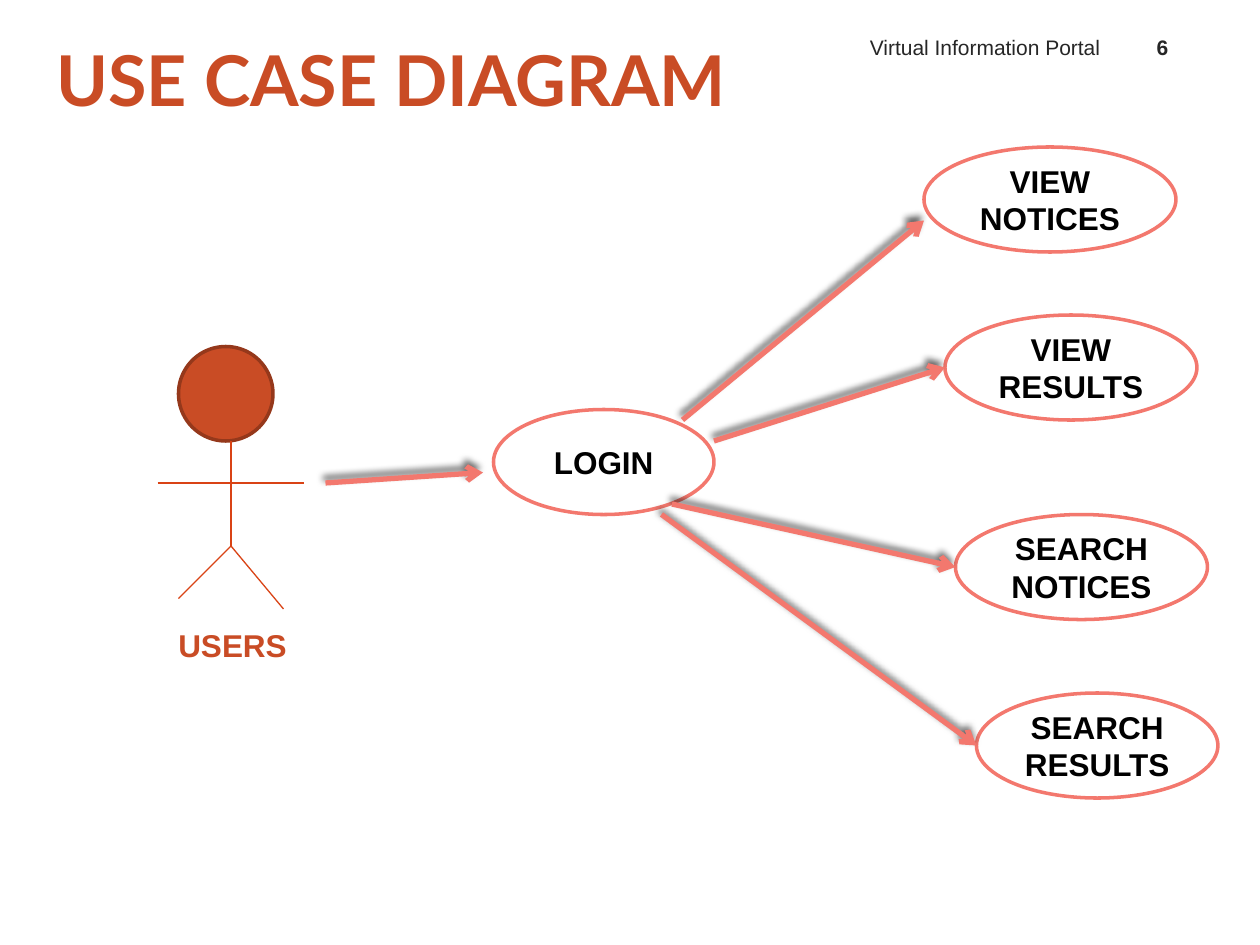
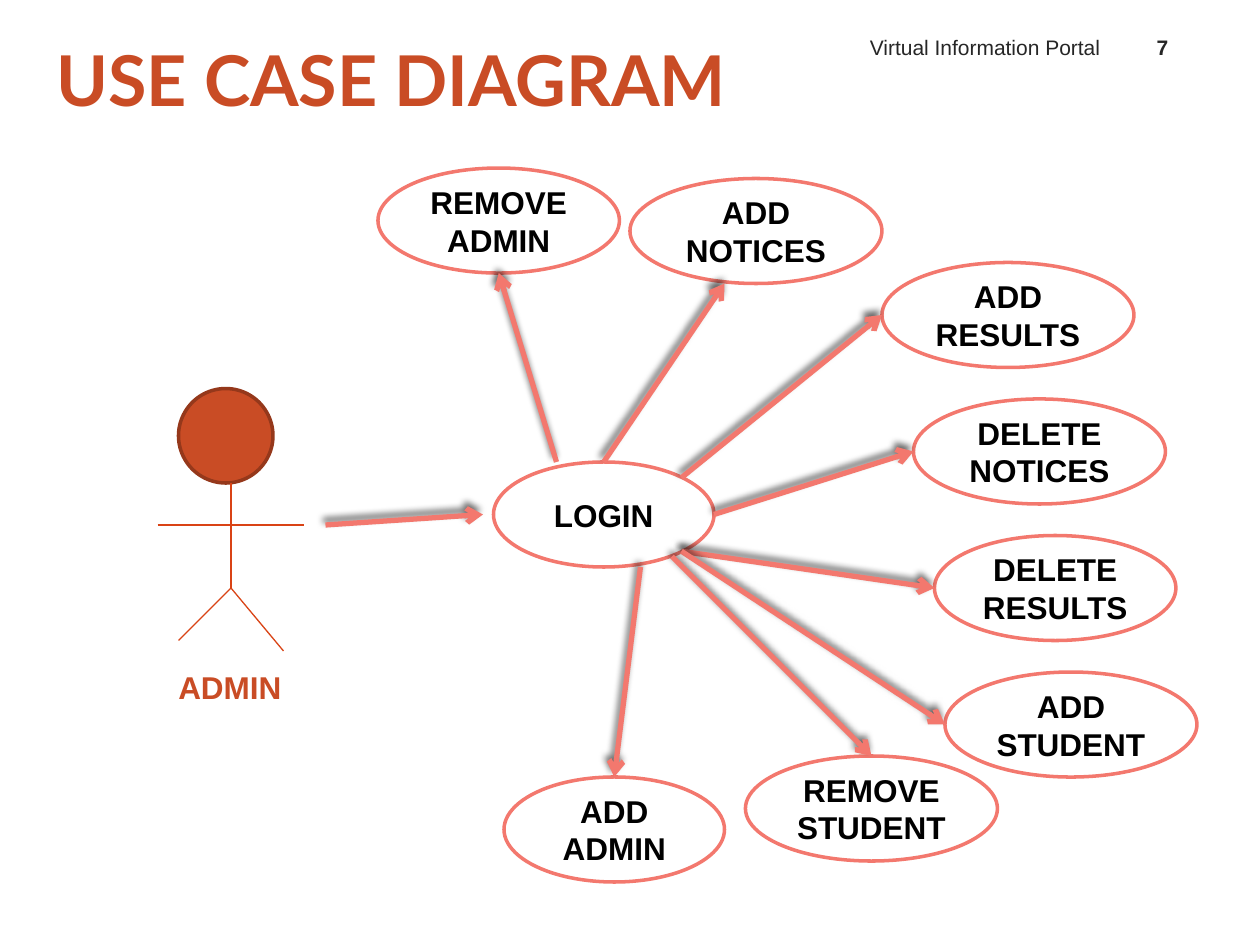
import pptx
import pptx.dml.color
import pptx.enum.shapes
import pptx.enum.text
import pptx.oxml
import pptx.oxml.ns
import pptx.util

PX = 7620  # EMU per px, 120 px to the inch
COLOURS = {
    "white": "FFFFFF",
    "black": "000000",
    "header": "262626",
    "accent": "C94C25",
    "head_edge": "95381B",
    "limb": "D94315",
    "flow": "F3786E",
}
ALIGN = pptx.enum.text.PP_ALIGN
ANCHOR = pptx.enum.text.MSO_ANCHOR
FIT = pptx.enum.text.MSO_AUTO_SIZE
OVAL_HEIGHT = 100

# Soft shadow under the flow arrows: blur 4 pt, distance 3 pt, 245 degrees
SHADOW = (
    '<a:outerShdw blurRad="50800" dist="38100" dir="14700000" algn="t" rotWithShape="0">'
    '<a:srgbClr val="000000"><a:alpha val="60000"/></a:srgbClr></a:outerShdw>'
)


def px(*lengths):
    return [pptx.util.Emu(length * PX) for length in lengths]


def rgb(name):
    return pptx.dml.color.RGBColor.from_string(COLOURS[name])


class DiagramDeck:
    """Holds the shared style and the slide being drawn."""

    def __init__(self):
        self.deck = pptx.Presentation()
        self.deck.slide_width, self.deck.slide_height = px(1200, 900)
        self.slide = None

    def new_slide(self, title, header, number):
        self.slide = self.deck.slides.add_slide(self.deck.slide_layouts[5])
        self.slide.background.fill.solid()
        self.slide.background.fill.fore_color.rgb = rgb("white")
        self.title(title)
        self.label(header, (770, 23, 290, 40), 12, "header", align=ALIGN.RIGHT, anchor=ANCHOR.BOTTOM)
        self.label(str(number), (1074, 23, 66, 40), 12, "header", bold=True,
                   align=ALIGN.CENTER, anchor=ANCHOR.BOTTOM)

    def set_text(self, frame, text, size, colour, bold, align, font="Arial", indent=0):
        frame.text = text
        for paragraph in frame.paragraphs:
            paragraph.alignment = align
            paragraph.font.name = font
            paragraph.font.size = pptx.util.Pt(size)
            paragraph.font.bold = bold
            paragraph.font.color.rgb = rgb(colour)
            if indent:
                properties = paragraph._p.get_or_add_pPr()
                properties.set("marL", str(indent * PX))
                properties.set("indent", "0")

    def title(self, text):
        holder = self.slide.shapes.title
        holder.left, holder.top, holder.width, holder.height = px(30, 30, 720, 89)
        frame = holder.text_frame
        frame.auto_size = FIT.NONE
        frame.vertical_anchor = ANCHOR.MIDDLE
        frame.margin_left = frame.margin_right = 0
        self.set_text(frame, text, 40, "accent", True, ALIGN.LEFT, font="Lato", indent=24)

    def label(self, text, box, size, colour, bold=False, align=ALIGN.LEFT,
              anchor=ANCHOR.TOP, indent=0, grow=False):
        frame = self.slide.shapes.add_textbox(*px(*box)).text_frame
        frame.word_wrap = not grow
        frame.auto_size = FIT.SHAPE_TO_FIT_TEXT if grow else FIT.NONE
        frame.vertical_anchor = anchor
        self.set_text(frame, text, size, colour, bold, align, indent=indent)
        if grow:
            frame.paragraphs[0].space_after = pptx.util.Pt(10)

    def oval(self, box, fill, edge, text=None):
        oval = self.slide.shapes.add_shape(pptx.enum.shapes.MSO_SHAPE.OVAL, *px(*box))
        oval.shadow.inherit = False
        oval.fill.solid()
        oval.fill.fore_color.rgb = rgb(fill)
        oval.line.color.rgb = rgb(edge)
        oval.line.width = pptx.util.Pt(2)
        if text:
            frame = oval.text_frame
            frame.word_wrap = True
            frame.vertical_anchor = ANCHOR.MIDDLE
            self.set_text(frame, text, 18, "black", True, ALIGN.CENTER)

    def use_case(self, text, left, top, width):
        self.oval((left, top, width, OVAL_HEIGHT), "white", "flow", text)

    def line(self, start, end, colour="limb", width=0.75, effect=""):
        connector = self.slide.shapes.add_connector(
            pptx.enum.shapes.MSO_CONNECTOR.STRAIGHT, *px(*start, *end))
        connector.line.color.rgb = rgb(colour)
        connector.line.width = pptx.util.Pt(width)
        namespace = pptx.oxml.ns.nsdecls("a")
        connector._element.spPr.append(
            pptx.oxml.parse_xml(f"<a:effectLst {namespace}>{effect}</a:effectLst>"))
        return connector

    def arrow(self, start, end):
        flow = self.line(start, end, "flow", 3, SHADOW)
        flow.line._get_or_add_ln().append(pptx.oxml.parse_xml(
            f'<a:tailEnd {pptx.oxml.ns.nsdecls("a")} type="arrow"/>'))

    def actor(self, role, top):
        self.oval((170, top, 90, 90), "accent", "head_edge")
        neck, hip = (220, top + 90), (220, top + 190)
        self.line(neck, hip)
        self.line(hip, (170, top + 240))
        self.line(hip, (270, top + 250))
        self.line((150, top + 130), (290, top + 130))  # arms
        self.label(role, (150, top + 260, 136, 48), 18, "accent", bold=True, indent=8, grow=True)


# One entry per slide; each case is text, (left, top, width), arrow start, arrow end
DIAGRAMS = [
    {
        "role": "USERS", "actor_top": 330, "login_top": 390,
        "cases": [
            ("VIEW NOTICES", (880, 140, 240), (650, 400), (880, 210)),
            ("VIEW RESULTS", (900, 300, 240), (680, 420), (900, 350)),
            ("SEARCH NOTICES", (910, 490, 240), (640, 480), (910, 540)),
            ("SEARCH RESULTS", (930, 660, 230), (630, 490), (930, 710)),
        ],
    },
    {
        "role": "ADMIN", "actor_top": 370, "login_top": 440,
        "cases": [
            ("REMOVE ADMIN", (360, 160, 230), (530, 440), (475, 260)),
            ("ADD\nNOTICES", (600, 170, 240), (575, 440), (690, 270)),
            ("ADD RESULTS", (840, 250, 240), (649, 455), (840, 300)),
            ("DELETE NOTICES", (870, 380, 240), (680, 490), (870, 430)),
            ("DELETE RESULTS", (890, 510, 230), (649, 525), (890, 560)),
            ("ADD STUDENT", (900, 640, 240), (649, 525), (900, 690)),
            ("REMOVE STUDENT", (710, 720, 240), (640, 530), (830, 720)),
            ("ADD ADMIN", (480, 740, 210), (610, 540), (585, 740)),
        ],
    },
]


def main():
    deck = DiagramDeck()
    for number, diagram in enumerate(DIAGRAMS, start=6):
        deck.new_slide("USE CASE DIAGRAM", "Virtual Information Portal", number)

        # Actor and the login step
        actor_top = diagram["actor_top"]
        deck.actor(diagram["role"], actor_top)
        deck.use_case("LOGIN", 470, diagram["login_top"], 210)
        deck.arrow((310, actor_top + 130), (460, actor_top + 120))

        # Use cases, then the arrows above them
        for text, place, _, _ in diagram["cases"]:
            deck.use_case(text, *place)
        for _, _, start, end in diagram["cases"]:
            deck.arrow(start, end)
    deck.deck.save("out.pptx")


if __name__ == "__main__":
    main()
